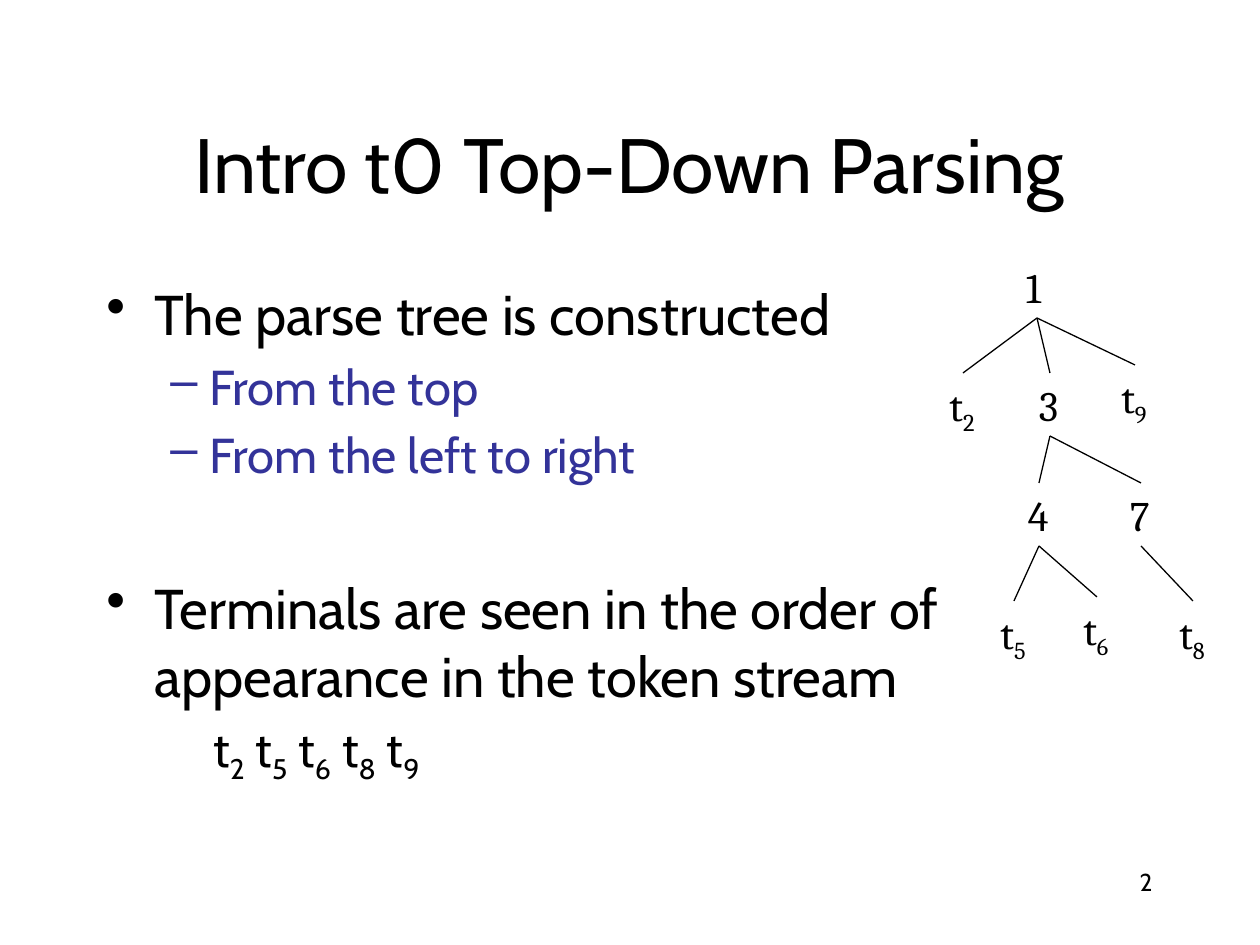
"""Build a slide introducing top-down parsing, with bullets and a parse tree."""
from dataclasses import dataclass
from typing import Any, Optional

from lxml import etree
from pptx import Presentation
from pptx import util as u
from pptx.dml.color import RGBColor
from pptx.enum import shapes, text
from pptx.oxml.ns import qn

SCALE = 914400 / 126
COLORS = {"ink": "000000", "sub": "333399"}
BODY_FONT, TREE_FONT = "Cabin", "Cambria"
NODE_HEIGHT = 63


@dataclass(frozen=True)
class Line:
    content: str
    size: int
    color: str = "ink"
    level: int = 0
    margin: int = 0
    indent: int = 0
    bullet: Optional[str] = None
    before: float = 0


@dataclass(frozen=True)
class Node:
    label: str
    center: int
    top: int
    parent: Optional[str] = None

    @property
    def width(self) -> int:
        return 52 if "_" in self.label else 47


LINES = [
    Line("The parse tree is constructed", 32, margin=48, indent=-48, bullet="•"),
    Line("From the top", 28, "sub", 1, 103, -39, "–", 5.6),
    Line("From the left to right", 28, "sub", 1, 103, -39, "–", 5.6),
    Line("Terminals are seen in the order of appearance in the token stream",
         32, margin=48, indent=-48, bullet="•", before=51.5),
    Line("t_2 t_5 t_6 t_8 t_9", 28, level=1, margin=107, before=5.6),
]
NODES = [
    Node("1", 1037, 255),
    Node("t_2", 963, 373, "1"),
    Node("3", 1050, 373, "1"),
    Node("t_9", 1135, 365, "1"),
    Node("4", 1039, 483, "3"),
    Node("7", 1141, 483, "3"),
    Node("t_5", 1014, 601, "4"),
    Node("t_6", 1097, 597, "4"),
    Node("t_8", 1193, 601, "7"),
]


def px(n: float) -> u.Emu:
    return u.Emu(round(n * SCALE))


def add_run(p: Any, content: str, size: int, font: str, color: str) -> Any:
    r = p.add_run()
    r.text = content
    r.font.size = u.Pt(size)
    r.font.name = font
    r.font.color.rgb = RGBColor.from_string(COLORS[color])
    return r


def write(p: Any, content: str, size: int, font: str = BODY_FONT, color: str = "ink") -> None:
    """Write content into a paragraph, lowering the digit after each underscore."""
    first, *rest = content.split("_")
    add_run(p, first, size, font, color)
    for part in rest:
        r = add_run(p, part[0], size, font, color)
        r.font._element.set("baseline", "-25000")
        if part[1:]:
            add_run(p, part[1:], size, font, color)


def add_box(parent: Any, x: float, y: int, w: int, h: int, wrap: bool = True) -> Any:
    sp = parent.add_textbox(px(x), px(y), px(w), px(h))
    tf = sp.text_frame
    tf.word_wrap = wrap
    tf.auto_size = text.MSO_AUTO_SIZE.NONE if wrap else text.MSO_AUTO_SIZE.SHAPE_TO_FIT_TEXT
    return tf


def add_line(p: Any, line: Line) -> None:
    p.level = line.level
    p.space_before = u.Pt(line.before)
    pPr = p._p.get_or_add_pPr()
    pPr.set("marL", str(px(line.margin)))
    pPr.set("indent", str(px(line.indent)))
    if line.bullet:
        etree.SubElement(pPr, qn("a:buChar")).set("char", line.bullet)
    write(p, line.content, line.size, color=line.color)


def add_node(group: Any, node: Node) -> None:
    tf = add_box(group, node.center - node.width / 2, node.top, node.width, NODE_HEIGHT, False)
    write(tf.paragraphs[0], node.label, 24, TREE_FONT)


def add_edge(group: Any, start: Node, end: Node) -> None:
    sp = group.add_connector(shapes.MSO_CONNECTOR.STRAIGHT, px(start.center),
                             px(start.top + NODE_HEIGHT), px(end.center), px(end.top))
    sp.line.color.rgb = RGBColor.from_string(COLORS["ink"])
    sp.line.width = u.Pt(0.75)
    etree.SubElement(sp._element.spPr, qn("a:effectLst"))


def main() -> None:
    prs = Presentation()
    prs.slide_width, prs.slide_height = px(1260), px(945)
    s = prs.slides.add_slide(prs.slide_layouts[6])

    tf = add_box(s.shapes, 94, 84, 1071, 158)
    tf.vertical_anchor = text.MSO_ANCHOR.MIDDLE
    tf.paragraphs[0].alignment = text.PP_ALIGN.CENTER
    write(tf.paragraphs[0], "Intro t0 Top-Down Parsing", 44)

    tf = add_box(s.shapes, 94, 273, 1071, 567)
    for i, line in enumerate(LINES):
        add_line(tf.add_paragraph() if i else tf.paragraphs[0], line)

    tf = add_box(s.shapes, 903, 861, 262, 63)
    tf.paragraphs[0].alignment = text.PP_ALIGN.RIGHT
    write(tf.paragraphs[0], "2", 14)

    tree = s.shapes.add_group_shape().shapes
    by_label = {node.label: node for node in NODES}
    for node in NODES:
        add_node(tree, node)
    for node in NODES:
        if node.parent:
            add_edge(tree, by_label[node.parent], node)

    prs.save("out.pptx")


if __name__ == "__main__":
    main()
